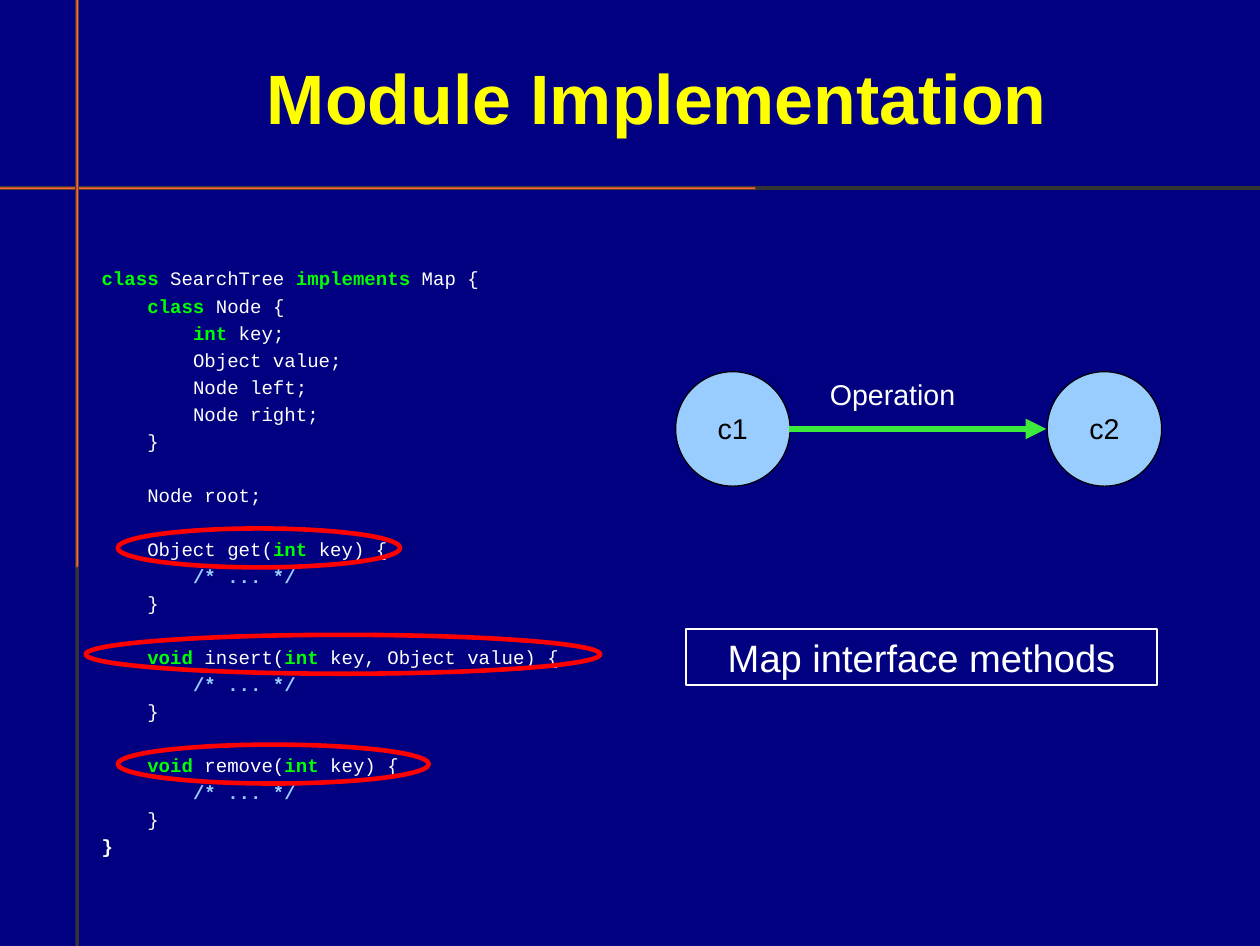
from lxml import etree
from pptx import Presentation
from pptx.dml.color import RGBColor
from pptx.enum.shapes import MSO_CONNECTOR, MSO_SHAPE
from pptx.enum.text import MSO_ANCHOR, PP_ALIGN
from pptx.oxml.ns import qn
from pptx.util import Inches, Pt

COLORS = {
    "background": "000080", "title": "FFFF00", "text": "FFFFFF",
    "keyword": "00FF00", "comment": "99CCFF", "node": "99CCFF",
    "node_text": "000000", "arrow": "3DEB3D", "ring": "FF0000",
    "bar_start": "FF6633", "bar_end": "333333",
}


def rgb(name):
    return RGBColor.from_string(COLORS[name])


def write(sp, text, size, color, align, anchor, margins, wrap=True):
    tf = sp.text_frame
    tf.word_wrap = wrap
    tf.vertical_anchor = anchor
    tf.margin_left, tf.margin_top, tf.margin_right, tf.margin_bottom = map(Inches, margins)
    p = tf.paragraphs[0]
    p.text = text
    p.alignment = align
    p.line_spacing = 0.93
    p.font.name = "Arial"
    p.font.size = Pt(size)
    p.font.color.rgb = rgb(color)
    return p


prs = Presentation()
prs.slide_width, prs.slide_height = Inches(11.02), Inches(8.27)
s = prs.slides.add_slide(prs.slide_layouts[5])
s.background.fill.solid()
s.background.fill.fore_color.rgb = rgb("background")

# Crossing gradient bars
for left, top, length, rotation, focus in [
    (0, 1.63, 11.02, 0, (10, 50, 90, 50)),
    (-3.46, 4.12, 8.27, 270, (50, 10, 50, 90)),
]:
    bar = s.shapes.add_shape(MSO_SHAPE.RECTANGLE, Inches(left), Inches(top),
                             Inches(length), Inches(0.03))
    bar.rotation = rotation
    bar.shadow.inherit = False
    bar.line.fill.background()
    bar.fill.gradient()
    for stop, name in zip(bar.fill.gradient_stops, ("bar_start", "bar_end")):
        stop.color.rgb = rgb(name)
    grad = bar._element.spPr.find(qn("a:gradFill"))
    grad.remove(grad.find(qn("a:lin")))
    shade = etree.SubElement(grad, qn("a:path"), {"path": "shape"})
    etree.SubElement(shade, qn("a:fillToRect"),
                     {side: str(pct * 1000) for side, pct in zip("ltrb", focus)})

# Title
title = s.shapes.title
title.left, title.top = Inches(0.79), Inches(0.17)
title.width, title.height = Inches(9.92), Inches(1.38)
p = write(title, "Module Implementation", 44, "title", PP_ALIGN.CENTER,
          MSO_ANCHOR.MIDDLE, (0, 0.04, 0, 0))
p.font.bold = True

# Code listing: indent level, blank line before, segments split at "|"
CODE = [
    (0, False, "class| SearchTree |implements| Map {"),
    (1, False, "class| Node {"),
    (2, False, "int| key;"),
    (2, False, "Object value;"),
    (2, False, "Node left;"),
    (2, False, "Node right;"),
    (1, False, "}"),
    (1, True, "Node root;"),
]
for signature in ("Object get(|int| key) {",
                  "void| insert(|int| key, Object value) {",
                  "void| remove(|int| key) {"):
    CODE += [(1, True, signature), (2, False, "/* ... */"), (1, False, "}")]
CODE.append((0, False, "}"))
KEYWORDS = {"class", "implements", "int", "void"}

code = s.shapes.add_textbox(Inches(0.79), Inches(2.3), Inches(4.46), Inches(5.22))
tf = code.text_frame
tf.word_wrap = True
for i, (level, blank_before, line) in enumerate(CODE):
    p = tf.add_paragraph() if i else tf.paragraphs[0]
    p.line_spacing = 1.18 if i else 0.94
    p.font.name = "Courier New"
    p.font.size = Pt(12)
    p._p.get_or_add_pPr().set("marL", str(Inches(0.4 * level)))
    if blank_before:
        p.space_before = Pt(17)
    for part in line.split("|"):
        kind = ("keyword" if part in KEYWORDS
                else "comment" if part.startswith("/*") else "text")
        r = p.add_run()
        r.text = part
        r.font.color.rgb = rgb(kind)
        r.font.bold = kind != "text" or (level == 0 and part == "}")

# Caption box
box = s.shapes.add_shape(MSO_SHAPE.RECTANGLE, Inches(6), Inches(5.5),
                         Inches(4.12), Inches(0.49))
box.shadow.inherit = False
box.fill.background()
box.line.color.rgb = rgb("text")
box.line.width = Pt(1.45)
write(box, "Map interface methods", 24, "text", PP_ALIGN.CENTER,
      MSO_ANCHOR.TOP, (0.11, 0.08, 0.11, 0.06))

# Rings around the interface methods
for left, top, width in [(1.03, 4.62, 2.47), (0.75, 5.55, 4.5), (1.03, 6.51, 2.72)]:
    ring = s.shapes.add_shape(MSO_SHAPE.OVAL, Inches(left), Inches(top),
                              Inches(width), Inches(0.34))
    ring.shadow.inherit = False
    ring.fill.background()
    ring.line.color.rgb = rgb("ring")
    ring.line.width = Pt(2.89)

# Nodes
for label, left in [("c1", 5.91), ("c2", 9.16)]:
    node = s.shapes.add_shape(MSO_SHAPE.OVAL, Inches(left), Inches(3.25),
                              Inches(1), Inches(1))
    node.shadow.inherit = False
    node.fill.solid()
    node.fill.fore_color.rgb = rgb("node")
    node.line.color.rgb = rgb("node_text")
    node.line.width = Pt(0.75)
    write(node, label, 18, "node_text", PP_ALIGN.CENTER, MSO_ANCHOR.MIDDLE,
          (0.1, 0.07, 0.1, 0.05), wrap=False)

# Operation arrow and its label
arrow = s.shapes.add_connector(MSO_CONNECTOR.STRAIGHT, Inches(6.9), Inches(3.75),
                               Inches(9.15), Inches(3.75))
arrow.line.color.rgb = rgb("arrow")
arrow.line.width = Pt(4.31)
etree.SubElement(arrow.line._get_or_add_ln(), qn("a:tailEnd"), {"type": "triangle"})
etree.SubElement(arrow._element.spPr, qn("a:effectLst"))

label = s.shapes.add_textbox(Inches(7.16), Inches(3.25), Inches(1.5), Inches(0.38))
write(label, "Operation", 18, "text", PP_ALIGN.LEFT, MSO_ANCHOR.TOP,
      (0.1, 0.07, 0.1, 0.05))

prs.save("out.pptx")
